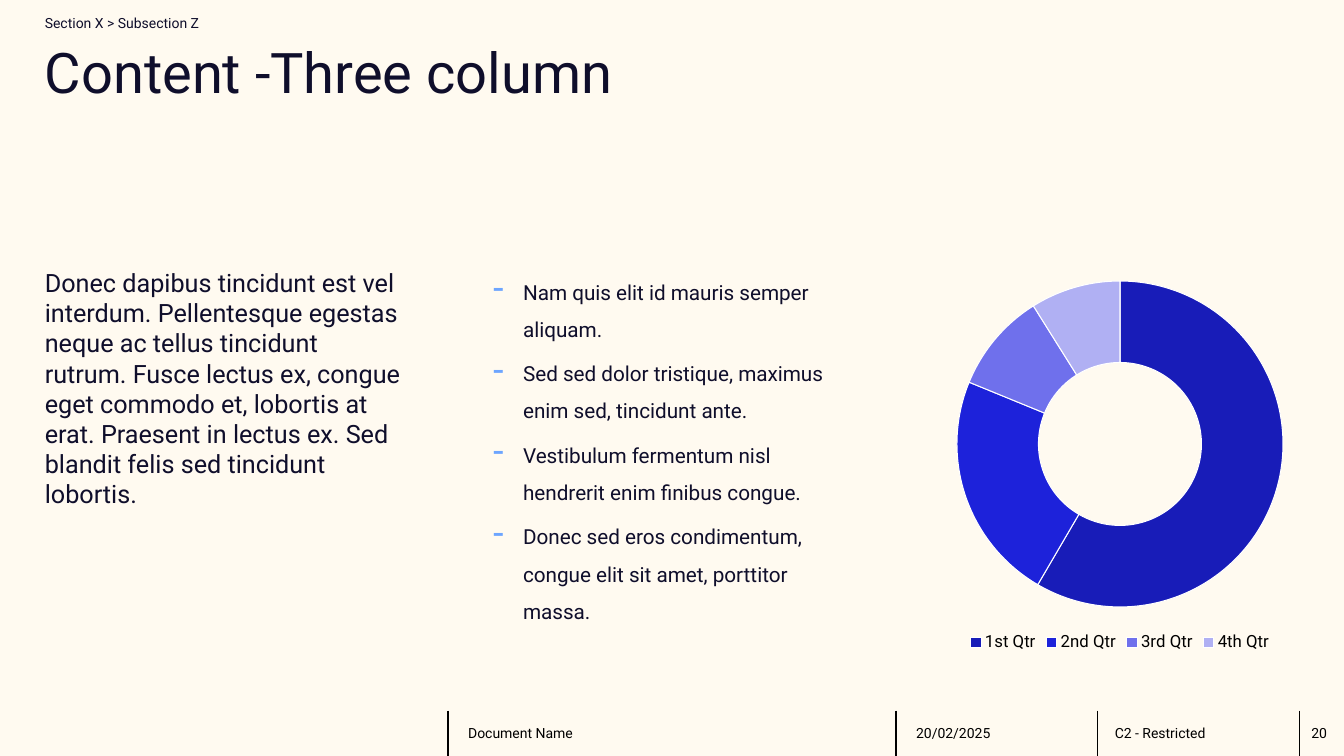
import pptx
import pptx.chart.data
import pptx.dml.color
import pptx.enum.chart
import pptx.enum.shapes
import pptx.enum.text
import pptx.oxml
import pptx.oxml.ns
import pptx.util
from lxml import etree

RGB = pptx.dml.color.RGBColor
CREAM = RGB(0xFF, 0xFA, 0xF0)
NAVY = RGB(0x0F, 0x0E, 0x2B)
BLACK = RGB(0, 0, 0)
WHITE = RGB(0xFF, 0xFF, 0xFF)
SKY = RGB(0x6D, 0xA5, 0xFF)
BLUES = [RGB(0x18, 0x1C, 0xB8), RGB(0x1D, 0x22, 0xDA),
         RGB(0x6F, 0x70, 0xEC), RGB(0xB0, 0xB0, 0xF3)]

Inches, Pt = pptx.util.Inches, pptx.util.Pt
MIDDLE = pptx.enum.text.MSO_ANCHOR.MIDDLE
TOP = pptx.enum.text.MSO_ANCHOR.TOP


def child(parent, tag, **attrs):
    node = etree.SubElement(parent, pptx.oxml.ns.qn(tag))
    for key, value in attrs.items():
        node.set(key, str(value))
    return node


class Page:
    """A slide on a grid of 3 columns and 15 rows; places are in grid units."""
    font = "Roboto"
    cols, rows = 3, 15

    def __init__(self, deck):
        self.wide = deck.slide_width / self.cols
        self.high = deck.slide_height / self.rows
        self.slide = deck.slides.add_slide(deck.slide_layouts[6])
        fill = self.slide.background.fill
        fill.solid()
        fill.fore_color.rgb = CREAM

    def place(self, col, row, width, height):
        return (round(col * self.wide), round(row * self.high),
                round(width * self.wide), round(height * self.high))

    def style(self, font, size, color):
        font.name, font.size = self.font, Pt(size)
        font.color.rgb = color

    def text(self, lines, box, size, color=NAVY, anchor=TOP, inset=0,
             spacing=None, gap=0, dash=False):
        shape = self.slide.shapes.add_textbox(*self.place(*box))
        frame = shape.text_frame
        frame.word_wrap = True
        frame.vertical_anchor = anchor
        frame.margin_left = Inches(inset)
        frame.margin_top = frame.margin_right = frame.margin_bottom = 0
        frame.text = "\n".join(lines)
        for i, para in enumerate(frame.paragraphs):
            if spacing:
                para.line_spacing = spacing
            if i:
                para.space_before = Pt(gap)
            if dash:
                self.dash(para)
            self.style(para.font, size, color)

    def dash(self, para):
        """Give the paragraph a hanging coloured dash."""
        props = para._p.get_or_add_pPr()
        props.set("marL", str(Inches(0.3)))
        props.set("indent", str(-Inches(0.3)))
        child(child(props, "a:buClr"), "a:srgbClr", val=SKY)
        child(props, "a:buSzPct", val=160000)
        child(props, "a:buChar", char="-")

    def rule(self, col, top):
        """Draw an upright line from a row to the foot of the slide."""
        x, y, _, drop = self.place(col, top, 0, self.rows - top)
        line = self.slide.shapes.add_connector(
            pptx.enum.shapes.MSO_CONNECTOR.STRAIGHT, x, y, x, y + drop)
        line.line.color.rgb = BLACK
        line.line.width = Pt(0.75)
        child(line._element.spPr, "a:effectLst")

    def ring(self, names, values, box):
        data = pptx.chart.data.CategoryChartData()
        data.categories = names
        data.add_series("Series 1", values)
        chart = self.slide.shapes.add_chart(
            pptx.enum.chart.XL_CHART_TYPE.DOUGHNUT,
            *self.place(*box), data).chart
        self.style(chart.font, 10, BLACK)
        chart.has_title = False
        chart.has_legend = True
        chart.legend.position = pptx.enum.chart.XL_LEGEND_POSITION.BOTTOM
        chart.legend.include_in_layout = False
        self.style(chart.legend.font, 12, BLACK)
        plot = chart.plots[0]
        plot.vary_by_categories = True
        plot._element.find(pptx.oxml.ns.qn("c:holeSize")).set("val", "75")
        for i, blue in enumerate(BLUES):
            form = plot.series[0].points[i].format
            form.fill.solid()
            form.fill.fore_color.rgb = blue
            form.line.color.rgb = WHITE
            form.line.width = Pt(0.75)


def main():
    deck = pptx.Presentation()
    deck.slide_width, deck.slide_height = Inches(13.33), Inches(7.5)
    page = Page(deck)

    edge, body, foot = 0.1, 5.3, 14.1
    width, height = 0.8, 7.72
    full = page.cols - 2 * edge

    page.text(["Section X > Subsection Z"], (edge, 0.14, full, 0.62), 10,
              anchor=MIDDLE)
    page.text(["Content -Three column"], (edge, 0.9, full, 3.3), 40,
              spacing=0.9)
    page.text(["Donec dapibus tincidunt est vel interdum. Pellentesque "
               "egestas neque ac tellus tincidunt rutrum. Fusce lectus ex, "
               "congue eget commodo et, lobortis at erat. Praesent in lectus "
               "ex. Sed blandit felis sed tincidunt lobortis."],
              (edge, body, width, height), 18)
    page.text(["Nam quis elit id mauris semper aliquam.",
               "Sed sed dolor tristique, maximus enim sed, tincidunt ante.",
               "Vestibulum fermentum nisl hendrerit enim finibus congue.",
               "Donec sed eros condimentum, congue elit sit amet, porttitor "
               "massa."],
              (1 + edge, body, width, height), 14.8,
              spacing=1.5, gap=5, dash=True)
    page.ring(["1st Qtr", "2nd Qtr", "3rd Qtr", "4th Qtr"], [59, 23, 10, 9],
              (2 + edge, body, width, height))

    stops = [1, 2, 2.45, 2.9, page.cols]
    labels = ["Document Name", "20/02/2025", "C2 - Restricted", "20"]
    insets = [0.2, 0.2, 0.17, 0.12]
    for left, right, label, inset in zip(stops, stops[1:], labels, insets):
        page.rule(left, foot)
        page.text([label], (left, foot, right - left, page.rows - foot), 10,
                  BLACK, MIDDLE, inset)

    deck.save("out.pptx")


if __name__ == "__main__":
    main()
